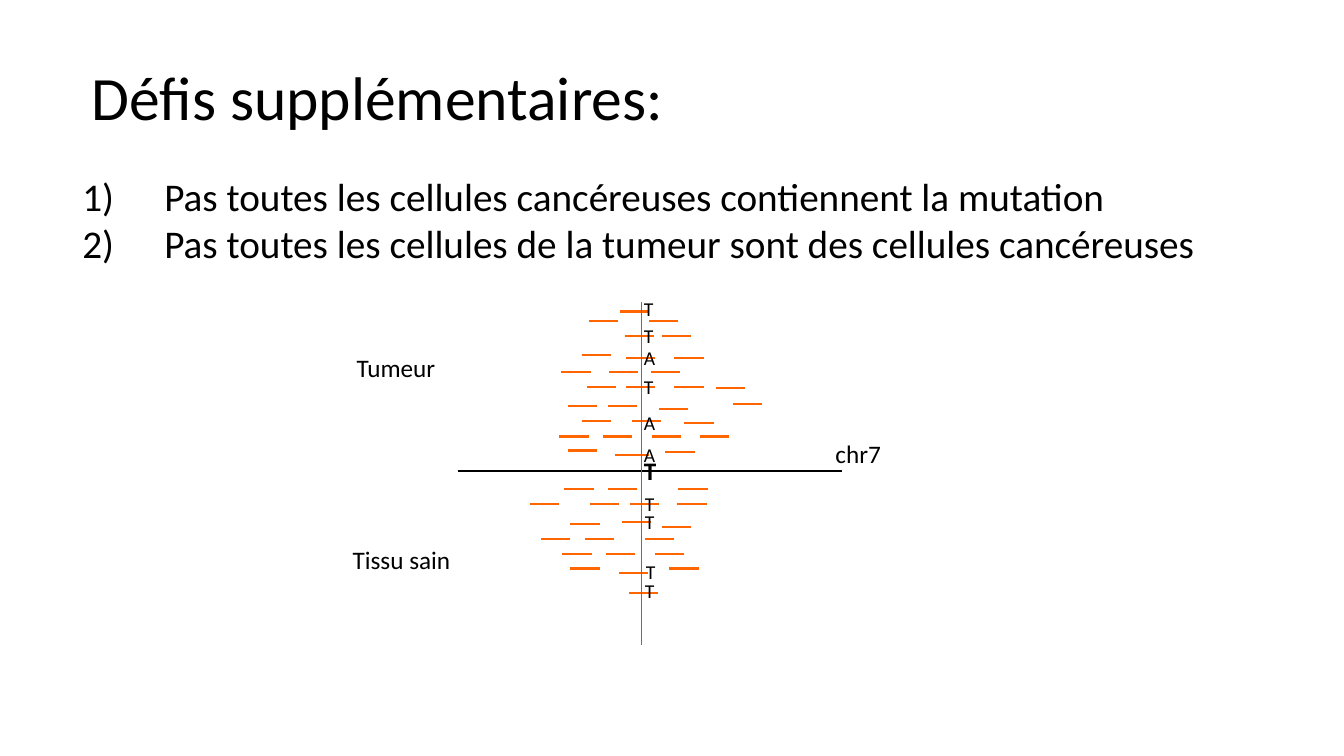
import pptx
import pptx.util
import pptx.dml.color
import pptx.enum.shapes
import pptx.enum.text
import pptx.oxml
import pptx.oxml.ns

Pt = pptx.util.Pt
FONT = "Calibri"
COLORS = {"text": "000000", "axis": "000000", "read": "FF6600", "position": "4472C4"}
READ_LENGTH = 20.9

# Sequencing reads: height of each row and where its reads start
TUMOR_READS = {
    222.5: [442.8],
    229: [420.5, 463.7],
    239.8: [446.4, 473],
    253.4: [415.4],
    255.6: [447.1, 481.7],
    265.7: [401, 434.9, 465.1],
    276.5: [419, 447.1, 481.7],
    277.2: [511.2],
    288.7: [523.4],
    290.2: [405.4, 434.2],
    292.3: [470.9],
    301: [415.4, 451.4],
    302.4: [488.9],
    311.8: [399.6, 430.6, 465.8, 499.7],
    321.8: [405.4],
    322.6: [475.2],
    324.7: [439.2, 442.8],
}
HEALTHY_READS = {
    349.2: [403.2, 434.2, 484.6],
    360: [378.7, 421.2, 450, 483.8],
    373: [444.2],
    374.4: [407.5],
    376.6: [473],
    385.2: [386.6, 417.6, 460.8],
    396: [401.8, 432.7, 468],
    406.1: [407.5, 478.1],
    409: [442.1],
    423.4: [449.3],
}

# Bases read at the position: letter, left, top
BASES = [
    ("T", 452.9, 208.8), ("T", 452.9, 228.2), ("A", 452.9, 243.4),
    ("T", 452.9, 264.2), ("A", 452.9, 290.2), ("A", 452.9, 312.5),
    ("T", 453.6, 347.8), ("T", 453.6, 360.7), ("T", 454.3, 396.7),
    ("T", 453.6, 409.7),
]
CHALLENGES = [
    "Pas toutes les cellules cancéreuses contiennent la mutation",
    "Pas toutes les cellules de la tumeur sont des cellules cancéreuses",
]


def rgb(name):
    return pptx.dml.color.RGBColor.from_string(COLORS[name])


def add_line(s, x1, y1, x2, y2, color, width=1.5):
    sp = s.shapes.add_connector(pptx.enum.shapes.MSO_CONNECTOR.STRAIGHT,
                                Pt(x1), Pt(y1), Pt(x2), Pt(y2))
    sp.line.color.rgb = rgb(color)
    sp.line.width = Pt(width)
    effects = pptx.oxml.parse_xml("<a:effectLst %s/>" % pptx.oxml.ns.nsdecls("a"))
    sp.element.spPr.append(effects)


def add_reads(s, rows):
    for y, starts in rows.items():
        for x in starts:
            add_line(s, x, y, x + READ_LENGTH, y, "read")


def add_text(s, lines, left, top, width, height, size, bold=False):
    sp = s.shapes.add_textbox(Pt(left), Pt(top), Pt(width), Pt(height))
    tf = sp.text_frame
    tf.word_wrap = True
    for i, line in enumerate(lines):
        p = tf.paragraphs[0] if i == 0 else tf.add_paragraph()
        r = p.add_run()
        r.text = line
        r.font.name = FONT
        r.font.size = Pt(size)
        r.font.bold = bold
        r.font.color.rgb = rgb("text")
    return tf


def number_paragraphs(tf, indent):
    for p in tf.paragraphs:
        pPr = p._p.get_or_add_pPr()
        pPr.set("marL", str(Pt(indent)))
        pPr.set("indent", str(-Pt(indent)))
        pPr.append(pptx.oxml.parse_xml(
            '<a:buFont %s typeface="+mj-lt"/>' % pptx.oxml.ns.nsdecls("a")))
        pPr.append(pptx.oxml.parse_xml(
            '<a:buAutoNum %s type="arabicParenR"/>' % pptx.oxml.ns.nsdecls("a")))


def main():
    prs = pptx.Presentation()
    prs.slide_width, prs.slide_height = Pt(960), Pt(540)
    s = prs.slides.add_slide(prs.slide_layouts[6])

    # Title and numbered challenges
    tf = add_text(s, ["Défis supplémentaires:"], 58.3, 30.2, 868.3, 82.8, 44)
    tf.vertical_anchor = pptx.enum.text.MSO_ANCHOR.MIDDLE
    tf.paragraphs[0].line_spacing = 0.9
    tf = add_text(s, CHALLENGES, 51.8, 119.5, 859, 74.9, 28)
    number_paragraphs(tf, 58.5)

    # Chromosome axis, reads and mutated position
    add_line(s, 326.9, 336.2, 601.2, 336.2, "axis")
    add_reads(s, TUMOR_READS)
    add_reads(s, HEALTHY_READS)
    add_line(s, 457.9, 216, 457.9, 460.8, "position", 0.5)

    # Bases, with the reference base in bold
    for base, left, top in BASES:
        add_text(s, [base], left, top, 35.3, 24.5, 14)
    add_text(s, ["T"], 452.9, 321.8, 35.3, 28.8, 18, bold=True)

    # Labels
    add_text(s, ["chr7"], 589.7, 309.6, 76.3, 28.8, 18)
    add_text(s, ["Tumeur"], 247.7, 248.4, 115.2, 28.8, 18)
    add_text(s, ["Tissu sain"], 244.8, 385.2, 115.2, 28.8, 18)

    prs.save("out.pptx")


if __name__ == "__main__":
    main()
